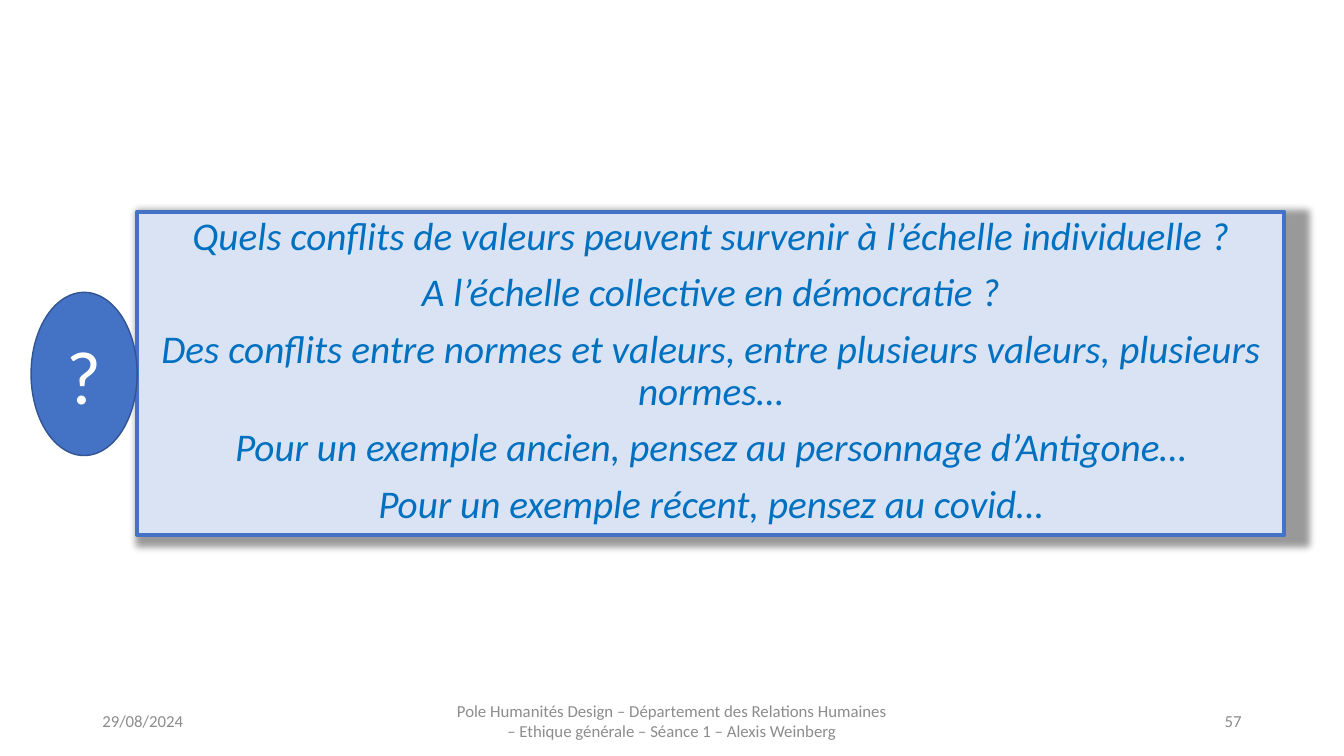
from dataclasses import dataclass

from lxml import etree
from pptx import Presentation
from pptx.dml.color import RGBColor
from pptx.enum import shapes, text
from pptx.oxml import ns
from pptx.util import Pt

FONT = "Calibri"
LEFT, MID, RIGHT = text.PP_ALIGN.LEFT, text.PP_ALIGN.CENTER, text.PP_ALIGN.RIGHT
RECT, OVAL = shapes.MSO_SHAPE.RECTANGLE, shapes.MSO_SHAPE.OVAL


@dataclass
class Label:
    words: str
    left: float
    width: float
    align: text.PP_ALIGN


@dataclass
class Panel:
    kind: shapes.MSO_SHAPE
    box: tuple[float, float, float, float]
    fill: str
    edge: str
    weight: float


def tint(color, code: str) -> None:
    color.rgb = RGBColor.from_string(code)


def style(para, size: float, code: str, align: text.PP_ALIGN) -> None:
    para.alignment = align
    para.font.name = FONT
    para.font.size = Pt(size)
    tint(para.font.color, code)


def add_label(slide, label: Label) -> None:
    box = slide.shapes.add_textbox(Pt(label.left), Pt(500.5), Pt(label.width), Pt(28.75))
    frame = box.text_frame
    frame.word_wrap = True
    frame.vertical_anchor = text.MSO_ANCHOR.MIDDLE
    frame.text = label.words
    style(frame.paragraphs[0], 12, "8C8C8C", label.align)


def add_panel(slide, panel: Panel):
    shape = slide.shapes.add_shape(panel.kind, *map(Pt, panel.box))
    shape.shadow.inherit = False
    shape.fill.solid()
    tint(shape.fill.fore_color, panel.fill)
    tint(shape.line.color, panel.edge)
    shape.line.width = Pt(panel.weight)
    shape.text_frame.word_wrap = True
    return shape


def cast(shape) -> None:
    effects = shape._element.spPr.find(ns.qn("a:effectLst"))
    shadow = etree.SubElement(
        effects, ns.qn("a:outerShdw"), blurRad=str(Pt(5)), dist="0", dir="0",
        sx="102000", sy="103000", algn="tl", rotWithShape="0")
    color = etree.SubElement(shadow, ns.qn("a:srgbClr"), val="000000")
    etree.SubElement(color, ns.qn("a:alpha"), val="40000")


LABELS = [
    Label("29/08/2024", 66, 216, LEFT),
    Label("Pole Humanités Design – Département des Relations Humaines "
          "– Ethique générale – Séance 1 – Alexis Weinberg", 318, 324, MID),
    Label("57", 678, 216, RIGHT),
]
ASKS = [
    "Quels conflits de valeurs peuvent survenir à l’échelle individuelle ?",
    "A l’échelle collective en démocratie ?",
    "Des conflits entre normes et valeurs, entre plusieurs valeurs, plusieurs normes…",
    "Pour un exemple ancien, pensez au personnage d’Antigone…",
    "Pour un exemple récent, pensez au covid…",
]
BOARD = Panel(RECT, (98, 151.2, 819.4, 231), "DAE3F3", "4472C4", 3)
BADGE = Panel(OVAL, (22.2, 208.8, 75.8, 116.6), "4472C4", "325491", 1)


def main() -> None:
    deck = Presentation()
    deck.slide_width, deck.slide_height = Pt(960), Pt(540)
    slide = deck.slides.add_slide(deck.slide_layouts[6])
    for label in LABELS:
        add_label(slide, label)

    board = add_panel(slide, BOARD)
    cast(board)
    frame = board.text_frame
    frame.auto_size = text.MSO_AUTO_SIZE.SHAPE_TO_FIT_TEXT
    frame.vertical_anchor = text.MSO_ANCHOR.TOP
    frame.text = "\n".join(ASKS)
    for rank, para in enumerate(frame.paragraphs):
        style(para, 28, "0070C0", MID)
        para.font.italic = True
        para.line_spacing = 0.9
        para.space_before = Pt(10 if rank else 0)

    badge = add_panel(slide, BADGE)
    badge.text_frame.vertical_anchor = text.MSO_ANCHOR.MIDDLE
    badge.text_frame.text = "?"
    style(badge.text_frame.paragraphs[0], 54, "FFFFFF", MID)
    deck.save("out.pptx")


if __name__ == "__main__":
    main()
